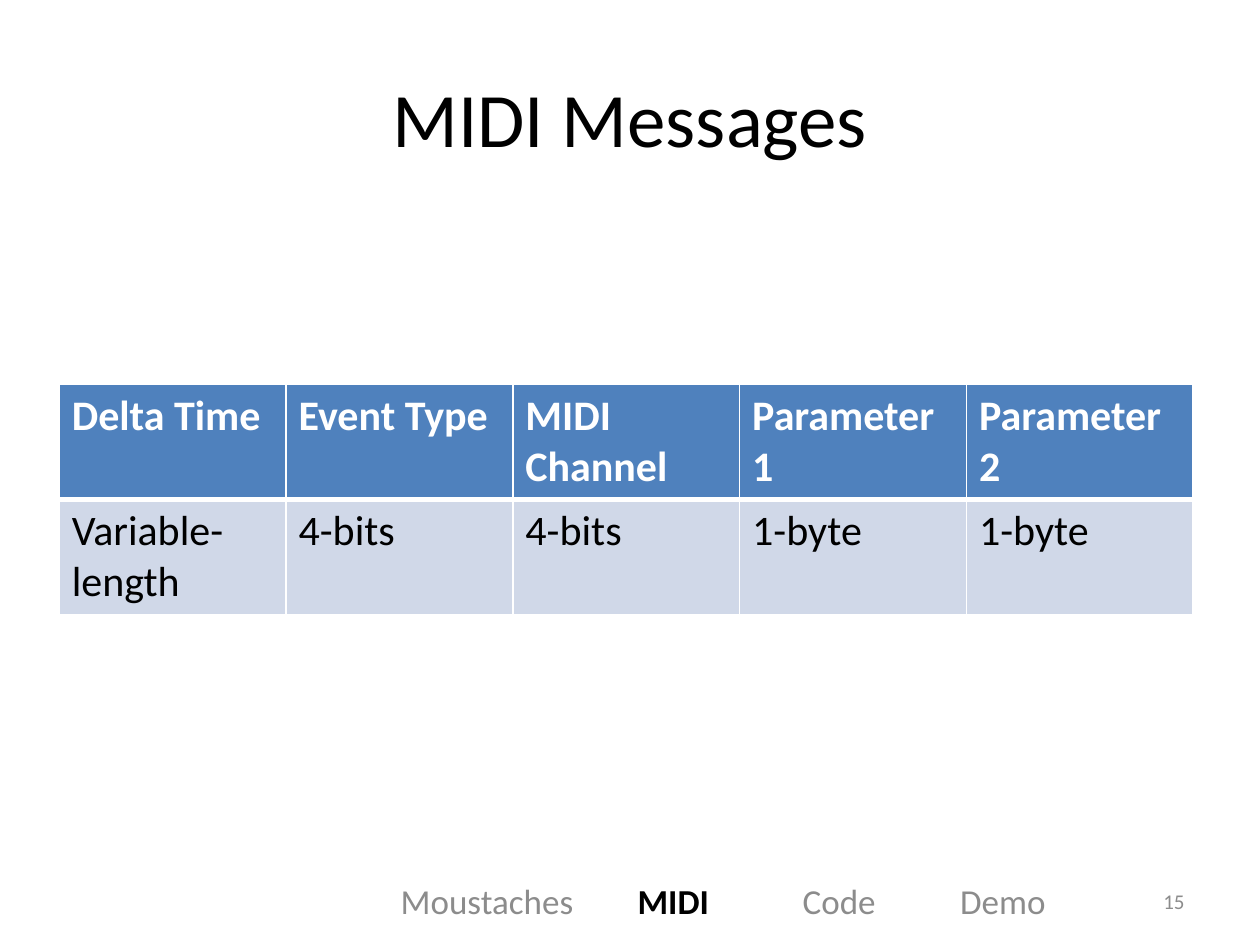
from dataclasses import dataclass

from pptx import Presentation
from pptx.dml.color import RGBColor as RGB
from pptx.enum.text import MSO_ANCHOR as Anchor, PP_ALIGN as Align
from pptx.oxml.ns import qn
from pptx.util import Inches, Pt
from lxml.etree import SubElement


@dataclass(frozen=True)
class Theme:
    font: str = "Calibri"
    black: RGB = RGB(0x00, 0x00, 0x00)
    white: RGB = RGB(0xFF, 0xFF, 0xFF)
    muted: RGB = RGB(0x8C, 0x8C, 0x8C)
    header_fill: RGB = RGB(0x4F, 0x81, 0xBD)
    body_fill: RGB = RGB(0xD0, 0xD8, 0xE8)
    title_size: int = 44
    table_size: int = 24
    section_size: int = 20
    number_size: int = 12


THEME = Theme()
ROWS = [
    ["Delta Time", "Event Type", "MIDI Channel", "Parameter 1", "Parameter 2"],
    ["Variable-length", "4-bits", "4-bits", "1-byte", "1-byte"],
]
SECTIONS = ["Moustaches", "MIDI", "Code", "Demo"]
SECTION_STOPS = [1.88, 3.19, 4.44]


def format_run(run, size, color, bold=False):
    run.font.name = THEME.font
    run.font.size = Pt(size)
    run.font.color.rgb = color
    run.font.bold = bold


def place(shape, box):
    shape.left, shape.top, shape.width, shape.height = map(Inches, box)


def add_title(slide, box, text):
    title = slide.shapes.title
    place(title, box)
    frame = title.text_frame
    frame.text = text
    frame.vertical_anchor = Anchor.MIDDLE
    paragraph = frame.paragraphs[0]
    paragraph.alignment = Align.CENTER
    format_run(paragraph.runs[0], THEME.title_size, THEME.black)


def set_borders(cell, bottom_width):
    properties = cell._tc.get_or_add_tcPr()
    widths = {"a:lnL": 1, "a:lnR": 1, "a:lnT": 1, "a:lnB": bottom_width}
    for index, (side, width) in enumerate(widths.items()):
        line = SubElement(properties, qn(side), w=str(Pt(width)))
        fill = SubElement(line, qn("a:solidFill"))
        SubElement(fill, qn("a:srgbClr"), val=str(THEME.white))
        properties.insert(index, line)


def add_message_table(slide, box, rows):
    table = slide.shapes.add_table(len(rows), len(rows[0]), *map(Inches, box)).table
    for row_index, row in enumerate(rows):
        header = row_index == 0
        for column_index, text in enumerate(row):
            cell = table.cell(row_index, column_index)
            cell.text = text
            cell.fill.solid()
            cell.fill.fore_color.rgb = THEME.header_fill if header else THEME.body_fill
            set_borders(cell, 3 if header else 1)
            format_run(cell.text_frame.paragraphs[0].runs[0], THEME.table_size,
                       THEME.white if header else THEME.black, header)


def add_footer_box(slide, box, alignment):
    """Add an empty, vertically centred text box and return its frame."""
    frame = slide.shapes.add_textbox(*map(Inches, box)).text_frame
    frame.word_wrap = True
    frame.vertical_anchor = Anchor.MIDDLE
    frame.paragraphs[0].alignment = alignment
    return frame


def add_sections(slide, box, sections, current):
    frame = add_footer_box(slide, box, Align.LEFT)
    frame.margin_left = Inches(0.29)
    paragraph = frame.paragraphs[0]
    tabs = SubElement(paragraph._p.get_or_add_pPr(), qn("a:tabLst"))
    for stop in SECTION_STOPS:
        SubElement(tabs, qn("a:tab"), pos=str(Inches(stop)), algn="l")
    for index, section in enumerate(sections):
        run = paragraph.add_run()
        run.text = f"\t{section}" if index else section
        active = section == current
        format_run(run, THEME.section_size, THEME.black if active else THEME.muted, active)


def add_page_number(slide, box, number):
    frame = add_footer_box(slide, box, Align.RIGHT)
    run = frame.paragraphs[0].add_run()
    run.text = str(number)
    format_run(run, THEME.number_size, THEME.muted)


def main():
    presentation = Presentation()
    presentation.slide_width, presentation.slide_height = Inches(10), Inches(7.5)
    slide = presentation.slides.add_slide(presentation.slide_layouts[5])
    add_title(slide, (0.5, 0.3, 9, 1.25), "MIDI Messages")
    add_message_table(slide, (0.47, 3.05, 9, 1.8), ROWS)
    add_page_number(slide, (8.67, 6.95, 0.83, 0.4), 15)
    add_sections(slide, (2.89, 6.95, 5.7, 0.4), SECTIONS, "MIDI")
    presentation.save("out.pptx")


if __name__ == "__main__":
    main()
